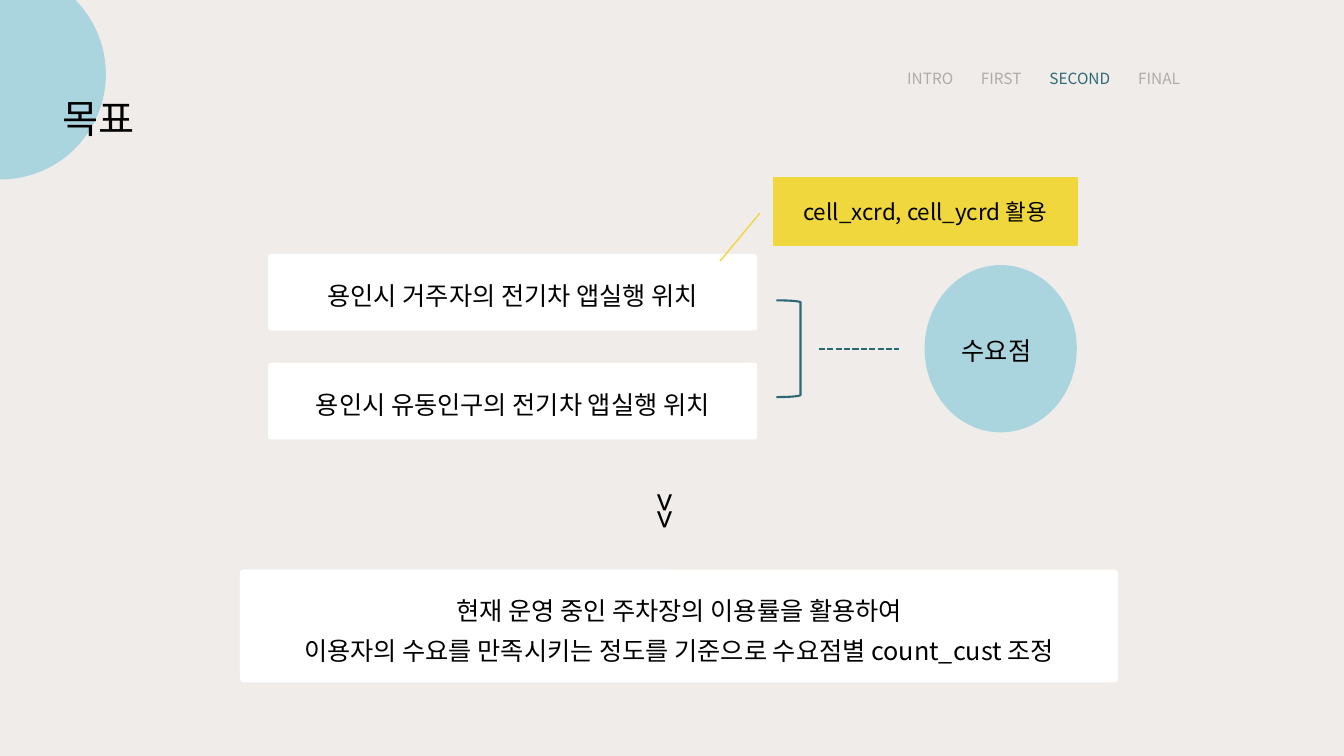
import dataclasses

import pptx
import pptx.dml.color
import pptx.enum.dml
import pptx.enum.shapes
import pptx.enum.text
import pptx.oxml.xmlchemy
import pptx.oxml.ns
import pptx.util
from lxml import etree

Inches = pptx.util.Inches
Pt = pptx.util.Pt
SHAPE = pptx.enum.shapes.MSO_SHAPE
CENTER = pptx.enum.text.PP_ALIGN.CENTER
MIDDLE = pptx.enum.text.MSO_ANCHOR.MIDDLE
GROW = pptx.enum.text.MSO_AUTO_SIZE.SHAPE_TO_FIT_TEXT


@dataclasses.dataclass(frozen=True)
class Theme:
    """Colours, font and type sizes of the slide."""
    paper: str = "F0ECE9"
    blue: str = "AAD5DE"
    teal: str = "2D6975"
    yellow: str = "F0D73E"
    white: str = "FFFFFF"
    ink: str = "000000"
    muted: str = "AFABAB"
    font: str = "Noto Sans CJK KR"
    title: int = 28
    arrow: int = 24
    body: int = 18
    note: int = 16
    nav: int = 11


THEME = Theme()


def rgb(color):
    """Turn a hex string into a colour."""
    return pptx.dml.color.RGBColor.from_string(color)


def apply(obj, **values):
    """Set attributes from format values."""
    for name, value in values.items():
        setattr(obj, name, value)


def add_run(p, text, size, color=THEME.ink, spacing=None):
    """Add a run in the theme font, for Latin and Korean text."""
    r = p.add_run()
    r.text = text
    apply(r.font, size=Pt(size), name=THEME.font)
    r.font.color.rgb = rgb(color)
    rpr = r.font._element
    etree.SubElement(rpr, pptx.oxml.ns.qn("a:ea"), typeface=THEME.font)
    if spacing is not None:
        rpr.set("spc", str(spacing * 100))


def add_text(s, box, lines, size, align=None, wrap=True, spacing=None, **frame):
    """Add a text box with one paragraph per line."""
    sp = s.shapes.add_textbox(*map(Inches, box))
    tf = sp.text_frame
    apply(tf, word_wrap=wrap, auto_size=GROW, **frame)
    for i, line in enumerate(lines):
        p = tf.add_paragraph() if i else tf.paragraphs[0]
        apply(p, alignment=align, line_spacing=1.3)
        add_run(p, line, size, spacing=spacing)
    return sp


def add_panel(s, kind, box, fill=None, line=None, width=1, adjust=()):
    """Add a flat preset shape."""
    sp = s.shapes.add_shape(kind, *map(Inches, box))
    sp.shadow.inherit = False
    for i, value in enumerate(adjust):
        sp.adjustments[i] = value
    if fill:
        sp.fill.solid()
        sp.fill.fore_color.rgb = rgb(fill)
    else:
        sp.fill.background()
    if line:
        sp.line.color.rgb = rgb(line)
        sp.line.width = Pt(width)
    else:
        sp.line.fill.background()
    return sp


def add_card(s, box, inset, lines, wrap=True):
    """Add a white card with centred text."""
    x, y, w, h = box
    dx, dy = inset
    add_panel(s, SHAPE.ROUNDED_RECTANGLE, box, THEME.white, adjust=[0.035])
    add_text(s, (x + dx, y + dy, w - 2 * dx, h - 2 * dy), lines,
             THEME.body, CENTER, wrap)


def add_callout(s, box, text):
    """Add the yellow callout with its pointer line."""
    sp = add_panel(s, SHAPE.LINE_CALLOUT_1, box, THEME.yellow, THEME.yellow,
                   adjust=[0.533, -0.045, 1.241, -0.176])
    tf = sp.text_frame
    apply(tf, vertical_anchor=MIDDLE, word_wrap=True)
    tf.paragraphs[0].alignment = CENTER
    add_run(tf.paragraphs[0], text, THEME.note)


def add_dashes(s, x1, x2, y):
    """Add a horizontal dashed connector."""
    line = s.shapes.add_connector(pptx.enum.shapes.MSO_CONNECTOR.STRAIGHT,
                                  *map(Inches, (x1, y, x2, y)))
    line.line.color.rgb = rgb(THEME.teal)
    apply(line.line, width=Pt(1.5),
          dash_style=pptx.enum.dml.MSO_LINE.SQUARE_DOT)
    etree.SubElement(line._element.spPr, pptx.oxml.ns.qn("a:effectLst"))


def add_nav(s, box, stops, current):
    """Add the section names on tab stops, with the current one coloured."""
    sp = add_text(s, box, [], THEME.nav)
    p = sp.text_frame.paragraphs[0]
    p.line_spacing = 1.3
    tabs = etree.SubElement(p._p.get_or_add_pPr(), pptx.oxml.ns.qn("a:tabLst"))
    for i, (name, stop) in enumerate(stops.items()):
        if i:
            etree.SubElement(tabs, pptx.oxml.ns.qn("a:tab"),
                             pos=str(Inches(stop)), algn="l")
        add_run(p, "\t" + name if i else name, THEME.nav,
                THEME.teal if name == current else THEME.muted)


def main():
    """Build and save the slide."""
    prs = pptx.Presentation()
    apply(prs, slide_width=Inches(13.33), slide_height=Inches(7.5))
    s = prs.slides.add_slide(prs.slide_layouts[6])
    s.background.fill.solid()
    s.background.fill.fore_color.rgb = rgb(THEME.paper)

    add_panel(s, SHAPE.OVAL, (-1.04, -0.31, 2.09, 2.09), THEME.blue)
    add_text(s, (0.52, 0.75, 0.96, 0.68), ["목표"], THEME.title, wrap=False)
    add_nav(s, (8.9, 0.58, 3.66, 0.33),
            {"INTRO": 0, "FIRST": 0.73, "SECOND": 1.41, "FINAL": 2.29}, "SECOND")

    for i, who in enumerate(["거주자", "유동인구"]):
        add_card(s, (2.66, 2.52 + 1.08 * i, 4.85, 0.76), (0.17, 0.12),
                 [f"용인시 {who}의 전기차 앱실행 위치"])
    add_dashes(s, 8.12, 8.92, 3.46)
    add_panel(s, SHAPE.RIGHT_BRACKET, (7.7, 2.98, 0.24, 0.96),
              line=THEME.teal, width=1.5)
    add_panel(s, SHAPE.OVAL, (9.17, 2.63, 1.51, 1.66), THEME.blue)
    add_text(s, (9.44, 3.19, 1, 0.53), ["수요점"], THEME.body)
    add_callout(s, (7.67, 1.76, 3.01, 0.67), "cell_xcrd, cell_ycrd 활용")

    add_card(s, (2.38, 5.65, 8.71, 1.12), (0.25, 0.12),
             ["현재 운영 중인 주차장의 이용률을 활용하여",
              "이용자의 수요를 만족시키는 정도를 기준으로 수요점별 count_cust 조정"],
             wrap=False)
    arrow = add_text(s, (6.19, 4.77, 0.95, 0.6), [">>"], THEME.arrow, CENTER,
                     spacing=-1, vertical_anchor=MIDDLE)
    arrow.rotation = 90
    prs.save("out.pptx")


if __name__ == "__main__":
    main()
